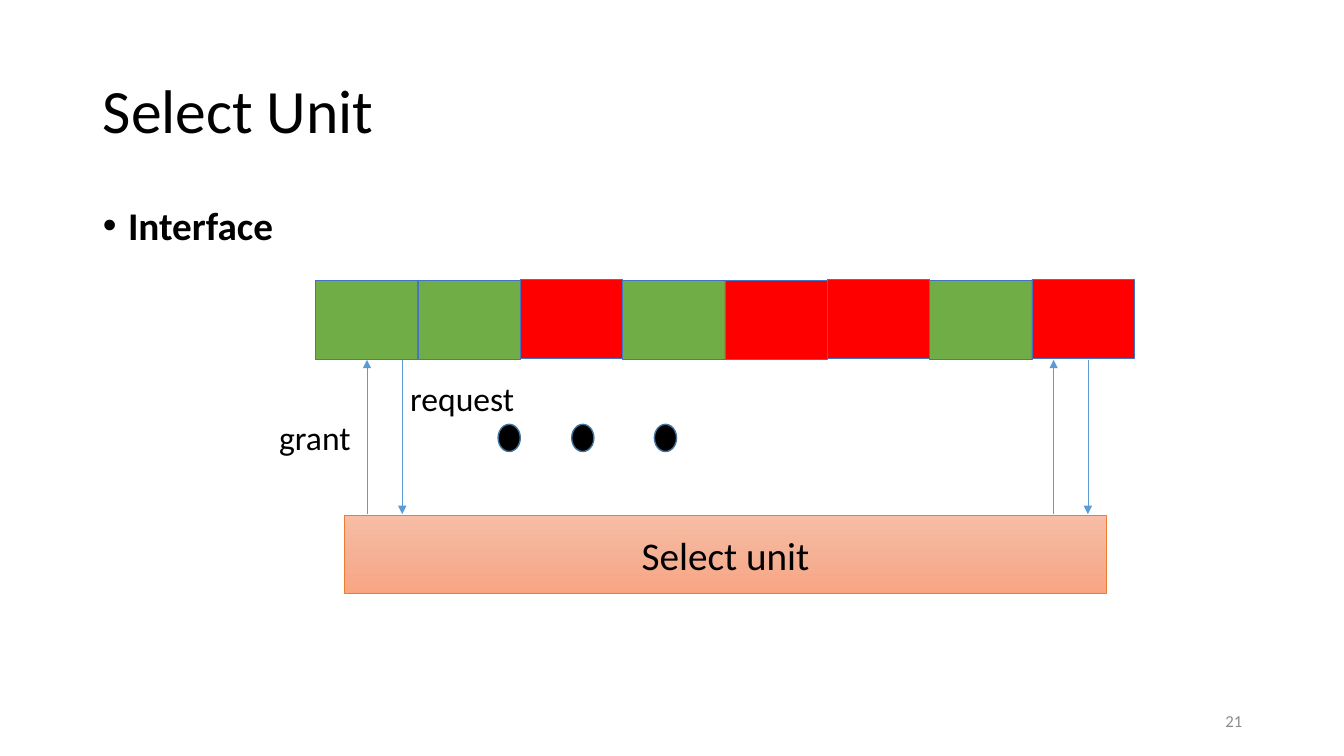
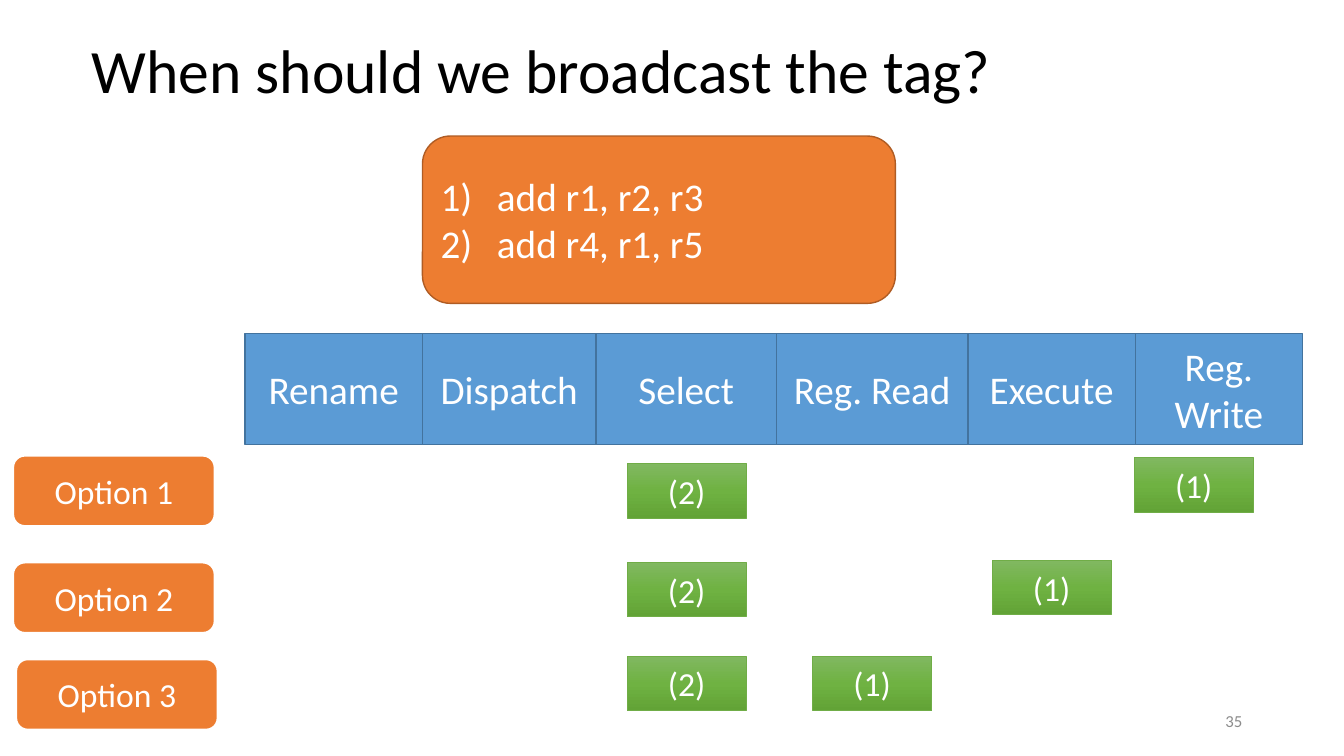
"""Build two slides on the select unit and on the timing of the tag broadcast."""
from copy import deepcopy

from lxml import etree
from pptx import Presentation
from pptx.dml.color import RGBColor
from pptx.enum.shapes import MSO_CONNECTOR, MSO_SHAPE
from pptx.enum.text import MSO_ANCHOR, MSO_AUTO_SIZE, PP_ALIGN
from pptx.oxml.ns import qn
from pptx.util import Inches, Pt

RECT, ROUNDED, OVAL = MSO_SHAPE.RECTANGLE, MSO_SHAPE.ROUNDED_RECTANGLE, MSO_SHAPE.OVAL
STRAIGHT = MSO_CONNECTOR.STRAIGHT
LEFT, CENTER, RIGHT = PP_ALIGN.LEFT, PP_ALIGN.CENTER, PP_ALIGN.RIGHT
TOP, MIDDLE = MSO_ANCHOR.TOP, MSO_ANCHOR.MIDDLE
NO_FIT, GROW = MSO_AUTO_SIZE.NONE, MSO_AUTO_SIZE.SHAPE_TO_FIT_TEXT

FONT = "Calibri"
BLACK, WHITE, GREY = "000000", "FFFFFF", "8C8C8C"
GREEN, RED, ORANGE, BLUE = "70AD47", "FF0000", "ED7D31", "5B9BD5"
CELL_EDGE, BLUE_EDGE, ORANGE_EDGE = "4472C4", "43739E", "AF5C24"
PEACH_SHADES = ["F7BDA5", "F5B196", "F8A582"]
GREEN_SHADES = ["81B861", "6FB242", "62A336"]
TITLE_SIZE = (11.5, 1.45)
NUMBER_FRAME = (9.42, 6.95, 3, 0.4)


def write(frame, lines, size, color, align=LEFT, anchor=MIDDLE, bold=False,
          wrap=True, fit=NO_FIT):
    """Fill a text frame with one paragraph per line."""
    settings = {"word_wrap": wrap, "auto_size": fit, "vertical_anchor": anchor}
    for name, value in settings.items():
        setattr(frame, name, value)
    frame.text = "\n".join(lines)
    for paragraph in frame.paragraphs:
        paragraph.alignment = align
        font = paragraph.runs[0].font
        for name, value in {"name": FONT, "size": Pt(size), "bold": bold}.items():
            setattr(font, name, value)
        font.color.rgb = RGBColor.from_string(color)


def add_box(slide, kind, place, fill, edge, edge_width, lines=(), size=24,
            color=WHITE, align=CENTER):
    """Add a shape whose fill is one colour or a list of three vertical shades."""
    box = slide.shapes.add_shape(kind, *map(Inches, place))
    box.shadow.inherit = False
    if isinstance(fill, list):
        box.fill.gradient()
        box.fill.gradient_angle = 270
        stops = box.element.spPr.find(qn("a:gradFill")).find(qn("a:gsLst"))
        stops.insert(1, deepcopy(stops[0]))
        for stop, position, shade in zip(box.fill.gradient_stops, (0, 0.5, 1), fill):
            stop.position = position
            stop.color.rgb = RGBColor.from_string(shade)
    else:
        box.fill.solid()
        box.fill.fore_color.rgb = RGBColor.from_string(fill)
    box.line.color.rgb = RGBColor.from_string(edge)
    box.line.width = Pt(edge_width)
    if lines:
        write(box.text_frame, lines, size, color, align)
    return box


prs = Presentation()
prs.slide_width, prs.slide_height = Inches(13.33), Inches(7.5)

slides = []
for layout, title, corner, number in [
    (1, "Select Unit", (0.92, 0.4), "21"),
    (5, "When should we broadcast the tag?", (0.81, 0), "35"),
]:
    slide = prs.slides.add_slide(prs.slide_layouts[layout])
    heading = slide.shapes.title
    heading.left, heading.top = map(Inches, corner)
    heading.width, heading.height = map(Inches, TITLE_SIZE)
    write(heading.text_frame, [title], 44, BLACK)
    heading.text_frame.paragraphs[0].line_spacing = 0.9
    page_number = slide.shapes.add_textbox(*map(Inches, NUMBER_FRAME))
    write(page_number.text_frame, [number], 12, GREY, RIGHT)
    slides.append(slide)
select_slide, broadcast_slide = slides

topic = select_slide.placeholders[1]
topic.left, topic.top, topic.width, topic.height = map(Inches, (0.92, 2, 11.5, 0.63))
write(topic.text_frame, ["Interface"], 28, BLACK, anchor=TOP, bold=True)
topic_line = topic.text_frame.paragraphs[0]
topic_line.line_spacing = 0.9
topic_line.space_before = Pt(10)
topic_props = topic_line._p.get_or_add_pPr()
topic_props.set("marL", str(Inches(0.25)))
topic_props.set("indent", str(Inches(-0.25)))

cell_pitch = 8.12 / 8
cells = [(GREEN, 2.78), (GREEN, 2.78), (RED, 2.77), (GREEN, 2.78),
         (RED, 2.78), (RED, 2.77), (GREEN, 2.78), (RED, 2.77)]
for index, (fill, top) in enumerate(cells):
    place = (3.13 + index * cell_pitch, top, cell_pitch, 0.79)
    add_box(select_slide, RECT, place, fill, CELL_EDGE, 0.5)

add_box(select_slide, RECT, (3.42, 5.11, 7.55, 0.78), PEACH_SHADES, ORANGE, 0.5,
        ["Select unit"], 28, BLACK)

queue_bottom, unit_top = 3.57, 5.1
for grant_x, request_x in [(3.64, 3.99), (10.45, 10.79)]:
    for x, start, end in [(request_x, queue_bottom, unit_top),
                          (grant_x, unit_top, queue_bottom)]:
        arrow = select_slide.shapes.add_connector(
            STRAIGHT, *map(Inches, (x, start, x, end)))
        arrow.line.color.rgb = RGBColor.from_string(BLUE)
        arrow.line.width = Pt(0.5)
        etree.SubElement(arrow.line._get_or_add_ln(), qn("a:tailEnd"), type="triangle")
        etree.SubElement(arrow.element.spPr, qn("a:effectLst"))

for dot_left in (4.94, 5.67, 6.49):
    add_box(select_slide, OVAL, (dot_left, 4.21, 0.22, 0.27), BLACK, BLUE_EDGE, 1)

for word, place in [("grant", (2.67, 4.09, 0.92, 0.5)),
                    ("request", (3.97, 3.7, 1.25, 0.5))]:
    signal = select_slide.shapes.add_textbox(*map(Inches, place))
    write(signal.text_frame, [word], 24, BLACK, anchor=TOP, wrap=False, fit=GROW)

stage_left = 2.43
for stage, width in [("Rename", 1.76), ("Dispatch", 1.72), ("Select", 1.79),
                     ("Reg. Read", 1.9), ("Execute", 1.66), ("Reg. Write", 1.66)]:
    add_box(broadcast_slide, RECT, (stage_left, 3.31, width, 1.1), BLUE, BLUE_EDGE, 1,
            [stage], 28)
    stage_left += width

program = add_box(broadcast_slide, ROUNDED, (4.19, 1.35, 4.69, 1.66), ORANGE,
                  ORANGE_EDGE, 1, ["add r1, r2, r3", "add r4, r1, r5"], 28, align=LEFT)
for instruction in program.text_frame.paragraphs:
    props = instruction._p.get_or_add_pPr()
    props.set("marL", str(Inches(0.56)))
    props.set("indent", str(Inches(-0.56)))
    etree.SubElement(props, qn("a:buAutoNum"), type="arabicParenR")

options = [("Option 1", (0.13, 4.52), 4.6, (11.25, 4.54)),
           ("Option 2", (0.13, 5.58), 5.58, (9.84, 5.56)),
           ("Option 3", (0.16, 6.54), 6.51, (8.06, 6.51))]
for option, corner, second_top, first_corner in options:
    add_box(broadcast_slide, ROUNDED, (*corner, 2, 0.7), ORANGE, WHITE, 1.5, [option])
    for mark, mark_corner in [("(2)", (6.22, second_top)), ("(1)", first_corner)]:
        add_box(broadcast_slide, RECT, (*mark_corner, 1.18, 0.54), GREEN_SHADES,
                GREEN, 0.5, [mark])

prs.save("out.pptx")
